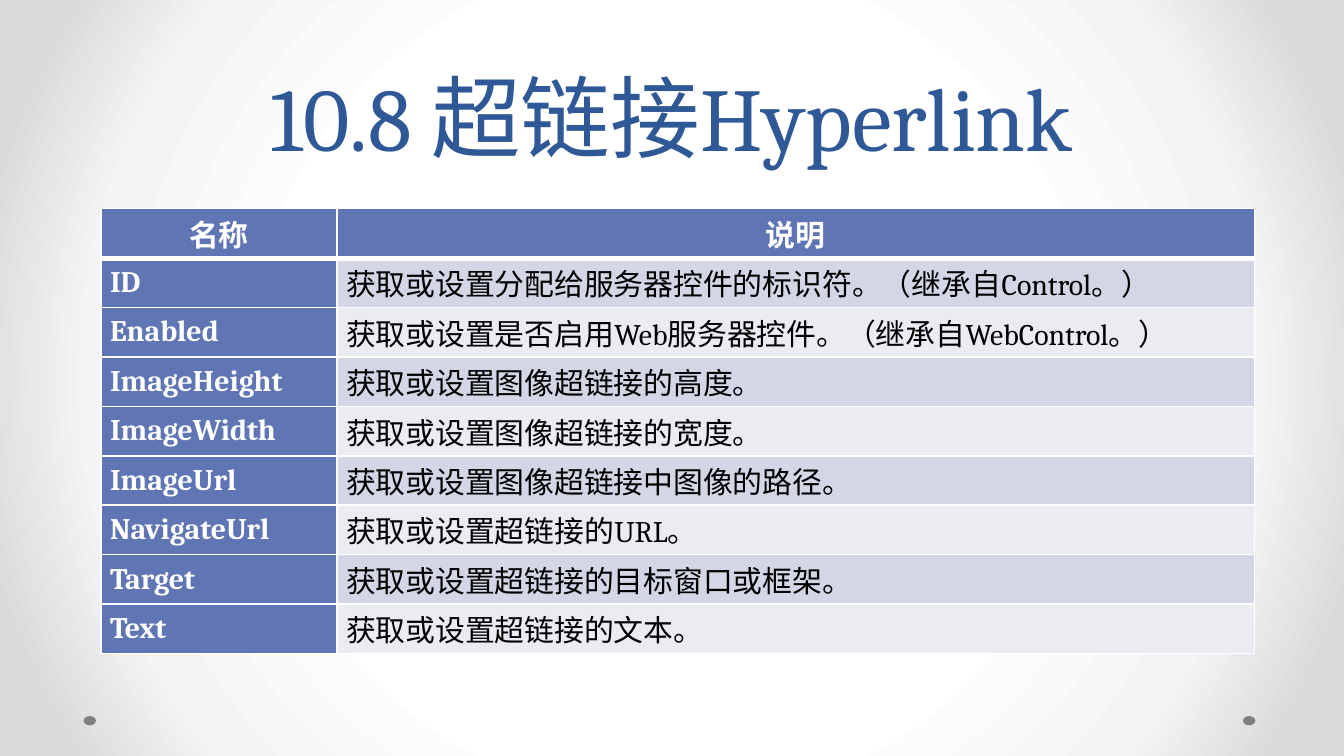
from dataclasses import dataclass

from lxml import etree
from pptx import Presentation
from pptx.dml.color import RGBColor
from pptx.enum.shapes import MSO_SHAPE
from pptx.enum.text import MSO_ANCHOR, PP_ALIGN
from pptx.oxml import parse_xml
from pptx.oxml.ns import nsdecls
from pptx.util import Pt

OVAL = MSO_SHAPE.OVAL
BOTTOM, MIDDLE = MSO_ANCHOR.BOTTOM, MSO_ANCHOR.MIDDLE
LEFT, CENTER = PP_ALIGN.LEFT, PP_ALIGN.CENTER

WHITE = RGBColor(0xFF, 0xFF, 0xFF)
BLACK = RGBColor(0x00, 0x00, 0x00)
GRAY = RGBColor(0x80, 0x80, 0x80)
NAVY = RGBColor(0x2F, 0x58, 0x97)
BLUE = RGBColor(0x60, 0x76, 0xB4)
BANDS = (RGBColor(0xD2, 0xD6, 0xE5), RGBColor(0xEA, 0xEC, 0xF2))
GLOW = ((50, WHITE), (76, RGBColor(0xF4, 0xF4, 0xF4)),
        (92, RGBColor(0xDA, 0xDA, 0xDA)))

FONT = "Cambria"
WIDTHS = (126.5, 491.5)
ROW = 26.5


@dataclass(frozen=True)
class Prop:
    name: str
    note: str


HEAD = Prop("名称", "说明")
PROPS = (
    Prop("ID", "获取或设置分配给服务器控件的标识符。（继承自Control。）"),
    Prop("Enabled", "获取或设置是否启用Web服务器控件。（继承自WebControl。）"),
    Prop("ImageHeight", "获取或设置图像超链接的高度。"),
    Prop("ImageWidth", "获取或设置图像超链接的宽度。"),
    Prop("ImageUrl", "获取或设置图像超链接中图像的路径。"),
    Prop("NavigateUrl", "获取或设置超链接的URL。"),
    Prop("Target", "获取或设置超链接的目标窗口或框架。"),
    Prop("Text", "获取或设置超链接的文本。"),
)


@dataclass(frozen=True)
class Style:
    fill: RGBColor
    color: RGBColor
    bold: bool
    align: PP_ALIGN
    base: float = 1


def set_back(slide) -> None:
    """Fill the background with a glow that darkens from the centre."""
    fill = slide.background.fill
    fill.gradient()
    grad = slide.background._cSld.bg.bgPr.find(
        "{*}gradFill")
    for part in list(grad):
        grad.remove(part)
    stops = "".join(
        f'<a:gs pos="{pos * 1000}"><a:srgbClr val="{color}"/></a:gs>'
        for pos, color in GLOW)
    grad.append(parse_xml(f'<a:gsLst {nsdecls("a")}>{stops}</a:gsLst>'))
    grad.append(parse_xml(
        f'<a:path {nsdecls("a")} path="circle"><a:fillToRect '
        'l="50000" t="50000" r="50000" b="50000"/></a:path>'))


def add_dot(slide, left: float) -> None:
    dot = slide.shapes.add_shape(OVAL, Pt(left), Pt(383.6), Pt(6.6), Pt(5))
    dot.shadow.inherit = False
    dot.fill.solid()
    dot.fill.fore_color.rgb = GRAY
    dot.line.fill.background()


def add_title(slide, text: str) -> None:
    frame = slide.shapes.add_textbox(
        Pt(36), Pt(0), Pt(648), Pt(94.5)).text_frame
    frame.word_wrap = True
    frame.vertical_anchor = BOTTOM
    line = frame.paragraphs[0]
    line.text = text
    line.alignment = CENTER
    line.line_spacing = Pt(58)
    line.font.name = FONT
    line.font.size = Pt(48)
    line.font.color.rgb = NAVY


def set_edges(cell, base: float) -> None:
    """Draw white borders, with the bottom one as wide as base."""
    props = cell._tc.get_or_add_tcPr()
    for spot, (side, width) in enumerate(
            zip(("lnL", "lnR", "lnT", "lnB"), (1, 1, 1, base))):
        edge = parse_xml(
            f'<a:{side} {nsdecls("a")} w="{Pt(width)}"><a:solidFill>'
            f'<a:srgbClr val="{WHITE}"/></a:solidFill></a:{side}>')
        props.insert(spot, edge)


def fill_cell(cell, text: str, style: Style) -> None:
    cell.fill.solid()
    cell.fill.fore_color.rgb = style.fill
    cell.vertical_anchor = MIDDLE
    cell.margin_left = cell.margin_right = Pt(5)
    cell.margin_top = cell.margin_bottom = Pt(0)
    line = cell.text_frame.paragraphs[0]
    line.text = text
    line.alignment = style.align
    line.font.name = FONT
    line.font.size = Pt(16)
    line.font.bold = style.bold
    line.font.color.rgb = style.color
    set_edges(cell, style.base)


def add_props(slide) -> None:
    count = len(PROPS) + 1
    table = slide.shapes.add_table(
        count, len(WIDTHS), Pt(54), Pt(111.8),
        Pt(sum(WIDTHS)), Pt(ROW * count)).table
    for col, width in zip(table.columns, WIDTHS):
        col.width = Pt(width)
    for row in table.rows:
        row.height = Pt(ROW)
    top = Style(BLUE, WHITE, True, CENTER, 3)
    key = Style(BLUE, WHITE, True, LEFT)
    fill_cell(table.cell(0, 0), HEAD.name, top)
    fill_cell(table.cell(0, 1), HEAD.note, top)
    for row, prop in enumerate(PROPS, 1):
        body = Style(BANDS[(row - 1) % 2], BLACK, False, LEFT)
        fill_cell(table.cell(row, 0), prop.name, key)
        fill_cell(table.cell(row, 1), prop.note, body)


def main() -> None:
    deck = Presentation()
    deck.slide_width, deck.slide_height = Pt(720), Pt(405)
    slide = deck.slides.add_slide(deck.slide_layouts[6])
    set_back(slide)
    for left in (665.9, 44.8):
        add_dot(slide, left)
    add_title(slide, "10.8 超链接Hyperlink")
    add_props(slide)
    etree.cleanup_namespaces(slide.background._cSld)
    deck.save("out.pptx")


if __name__ == "__main__":
    main()
